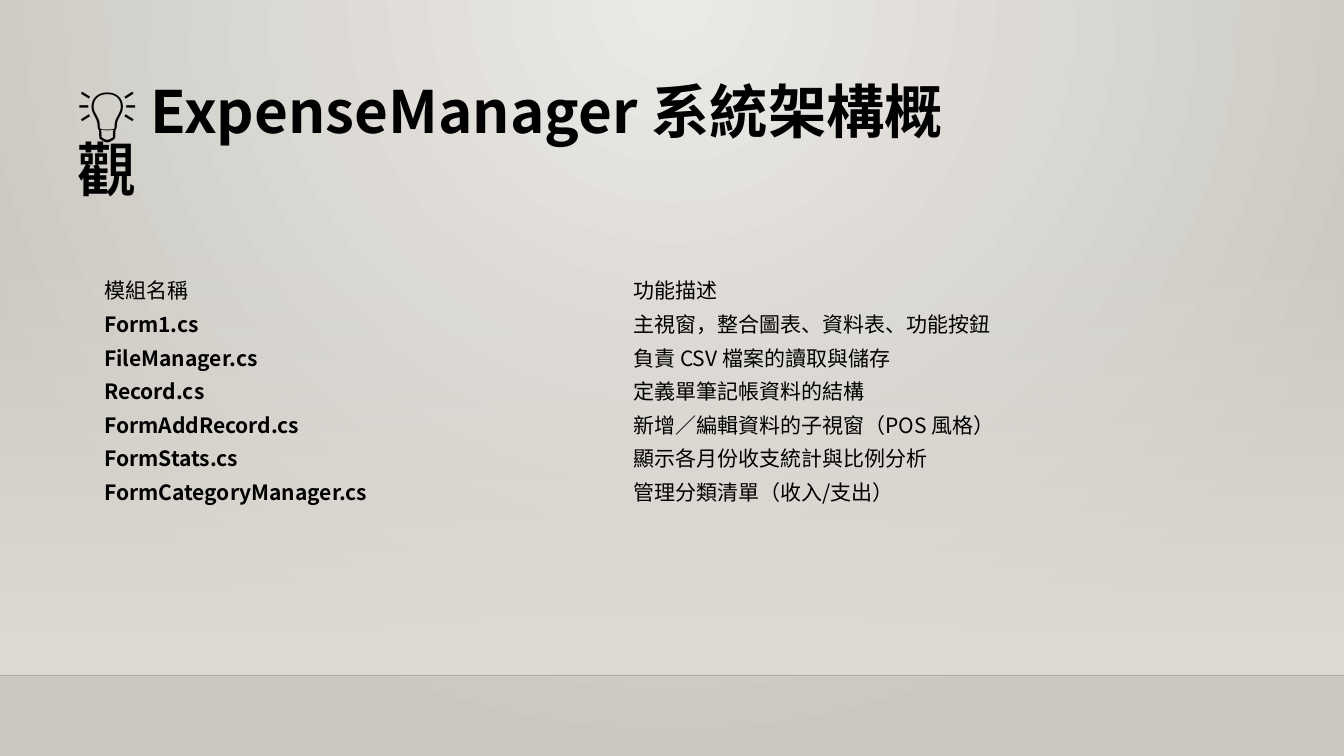
import pptx
import pptx.dml.color
import pptx.enum.shapes
import pptx.enum.text
import pptx.oxml
import pptx.oxml.ns
import pptx.util

W, H = 16, 9
FLOOR = 8.04
FONT = "Noto Sans CJK SC"
COLORS = {"text": "000000", "line": "000001", "glow": "ECEAE7",
          "edge": "CAC7C1", "panel": "DFDBD5"}
PLAIN_TABLE = "{2D5ABB26-0587-4C30-8999-92F81FD0307C}"
MODULES = [
    ("模組名稱", "功能描述"),
    ("Form1.cs", "主視窗，整合圖表、資料表、功能按鈕"),
    ("FileManager.cs", "負責 CSV 檔案的讀取與儲存"),
    ("Record.cs", "定義單筆記帳資料的結構"),
    ("FormAddRecord.cs", "新增／編輯資料的子視窗（POS 風格）"),
    ("FormStats.cs", "顯示各月份收支統計與比例分析"),
    ("FormCategoryManager.cs", "管理分類清單（收入/支出）"),
]


def inches(*values):
    """Convert several lengths to inches."""
    return [pptx.util.Inches(v) for v in values]


def set_gradient(fill, stops, direction):
    """Fill with (position, colour, alpha) stops and a direction element."""
    fill.gradient()
    fill.gradient_angle = 0
    items = "".join(
        f'<a:gs pos="{pos * 1000}"><a:srgbClr val="{COLORS[name]}">'
        f'<a:alpha val="{alpha * 1000}"/></a:srgbClr></a:gs>'
        for pos, name, alpha in stops)
    ns = pptx.oxml.ns.nsdecls("a")
    new = pptx.oxml.parse_xml(
        f'<a:gradFill {ns} rotWithShape="1"><a:gsLst>{items}</a:gsLst>'
        f'{direction}</a:gradFill>')
    return new


def swap_gradient(parent, fill, stops, direction):
    """Put a custom gradient in place of the default one under parent."""
    new = set_gradient(fill, stops, direction)
    old = next(parent.iter(pptx.oxml.ns.qn("a:gradFill")))
    old.getparent().replace(old, new)


def add_backdrop(s):
    """Draw the radial background, the fading wall and the floor line."""
    swap_gradient(
        s.element, s.background.fill, [(0, "glow", 100), (100, "edge", 100)],
        '<a:path path="circle"><a:fillToRect l="43000" r="43000" b="100000"/></a:path>')
    top = 2.65
    wall = s.shapes.add_shape(pptx.enum.shapes.MSO_SHAPE.RECTANGLE,
                              *inches(0, top, W, FLOOR - top))
    wall.shadow.inherit = False
    wall.line.fill.background()
    swap_gradient(wall.element, wall.fill, [(0, "panel", 0), (100, "panel", 100)],
                  '<a:lin ang="5400000" scaled="0"/>')
    line = s.shapes.add_connector(pptx.enum.shapes.MSO_CONNECTOR.STRAIGHT,
                                  *inches(0, FLOOR, W, FLOOR))
    line.line.width = pptx.util.Pt(1)
    line.line.color.rgb = pptx.dml.color.RGBColor.from_string(COLORS["line"])
    color = next(line.element.iter(pptx.oxml.ns.qn("a:srgbClr")))
    ns = pptx.oxml.ns.nsdecls("a")
    color.append(pptx.oxml.parse_xml(f'<a:alpha {ns} val="20000"/>'))
    line.element.spPr.append(pptx.oxml.parse_xml(f"<a:effectLst {ns}/>"))


def style_text(p, size, bold):
    """Format the runs of a paragraph, East Asian font included."""
    p.alignment = pptx.enum.text.PP_ALIGN.LEFT
    for r in p.runs:
        r.font.size = pptx.util.Pt(size)
        r.font.bold = bold
        r.font.name = FONT
        r.font.color.rgb = pptx.dml.color.RGBColor.from_string(COLORS["text"])
        ns = pptx.oxml.ns.nsdecls("a")
        latin = r.font._element.find(pptx.oxml.ns.qn("a:latin"))
        latin.addnext(pptx.oxml.parse_xml(f'<a:ea {ns} typeface="{FONT}"/>'))


def add_title(s, text):
    """Place the title placeholder in front of the backdrop."""
    title = s.shapes.title
    s.shapes.element.append(title.element)
    title.left, title.top, title.width, title.height = inches(0.82, 0.98, 10.83, 0.94)
    tf = title.text_frame
    tf.text = text
    tf.word_wrap = True
    tf.auto_size = pptx.enum.text.MSO_AUTO_SIZE.SHAPE_TO_FIT_TEXT
    tf.vertical_anchor = pptx.enum.text.MSO_ANCHOR.TOP
    tf.paragraphs[0].line_spacing = 0.83
    style_text(tf.paragraphs[0], 50, True)


def add_module_table(s, rows):
    """Add the borderless table of modules and their functions."""
    row_height = 0.4
    frame = s.shapes.add_table(len(rows), 2,
                               *inches(1.14, 3.25, 12.6, row_height * len(rows)))
    table = frame.table
    table.first_row = table.horz_banding = False
    next(frame.element.iter(pptx.oxml.ns.qn("a:tableStyleId"))).text = PLAIN_TABLE
    for i, row in enumerate(rows):
        for j, text in enumerate(row):
            cell = table.cell(i, j)
            cell.fill.background()
            cell.margin_top = cell.margin_bottom = pptx.util.Inches(0.01)
            cell.vertical_anchor = pptx.enum.text.MSO_ANCHOR.MIDDLE
            cell.text_frame.text = text
            style_text(cell.text_frame.paragraphs[0], 18, i > 0 and j == 0)


def main():
    """Build and save the slide."""
    prs = pptx.Presentation()
    prs.slide_width, prs.slide_height = inches(W, H)
    s = prs.slides.add_slide(prs.slide_layouts[5])
    add_backdrop(s)
    add_title(s, "💡 ExpenseManager 系統架構概觀")
    add_module_table(s, MODULES)
    prs.save("out.pptx")


if __name__ == "__main__":
    main()
